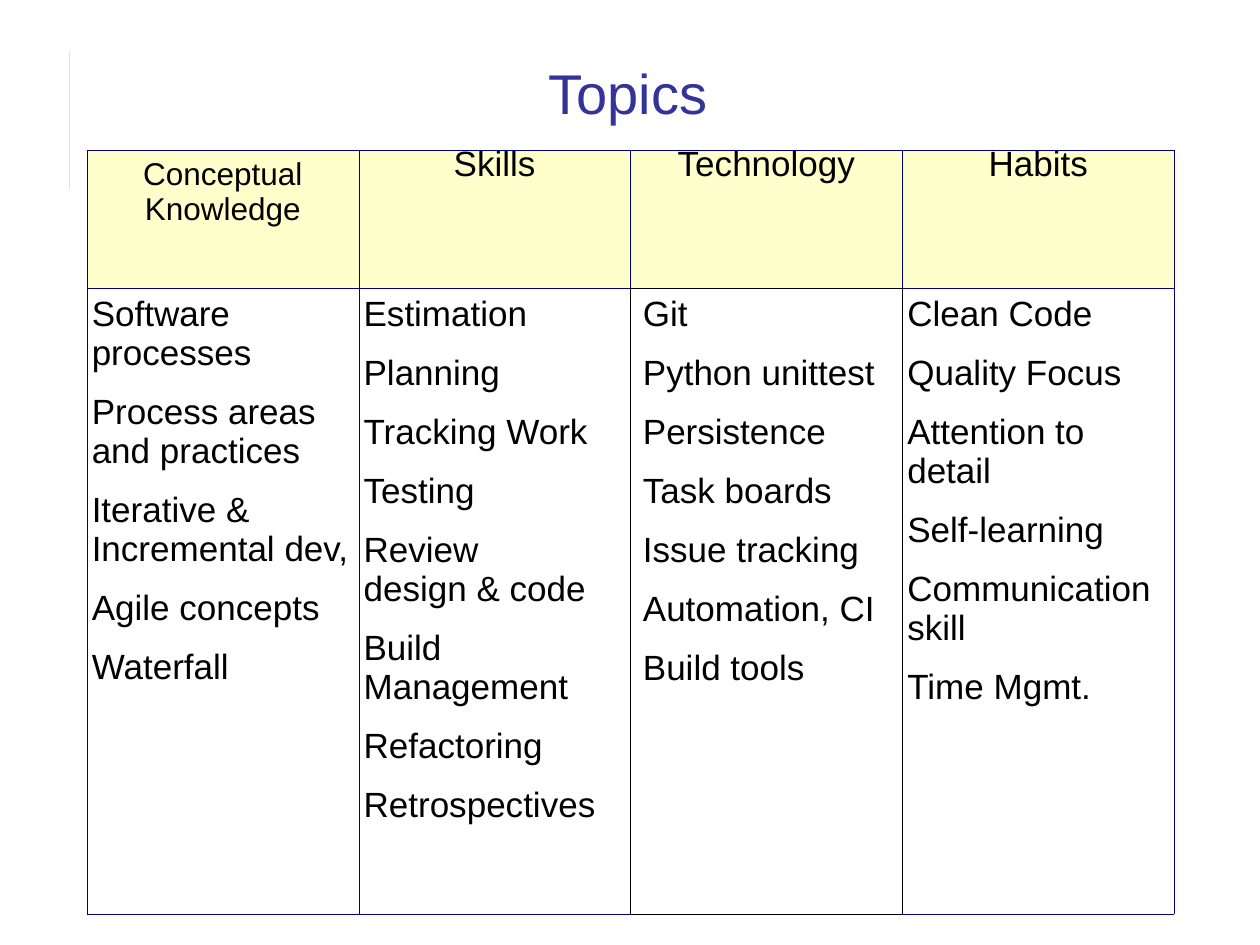
"""Build the Topics slide with its four-column table."""
from dataclasses import dataclass

import pptx
import pptx.dml.color
import pptx.enum.shapes
import pptx.enum.text
import pptx.oxml
import pptx.oxml.ns
import pptx.util

Cm = pptx.util.Cm
Pt = pptx.util.Pt
ALIGN = pptx.enum.text.PP_ALIGN
ANCHOR = pptx.enum.text.MSO_ANCHOR


@dataclass(frozen=True)
class Theme:
    font: str = "Arial"
    title: str = "333399"
    ink: str = "000000"
    edge: str = "000080"
    head: str = "FFFFCC"
    rule: str = "1C1C1C"
    big: int = 32
    body: int = 20
    small: int = 18
    gap: float = 11.4
    line: float = 0.06


THEME = Theme()

TOPICS = {
    "Conceptual Knowledge": [
        "Software processes", "Process areas and practices",
        "Iterative & Incremental dev,", "Agile concepts", "Waterfall"],
    "Skills": [
        "Estimation", "Planning", "Tracking Work", "Testing",
        "Review\vdesign & code", "Build Management", "Refactoring",
        "Retrospectives"],
    "Technology": [
        "Git", "Python unittest", "Persistence", "Task boards",
        "Issue tracking", "Automation, CI", "Build tools"],
    "Habits": [
        "Clean Code", "Quality Focus", "Attention to detail",
        "Self-learning", "Communication skill", "Time Mgmt."],
}

TECH = 2
DARK = {(1, TECH, side) for side in "LRTB"} | {
    (0, TECH, "B"), (1, TECH - 1, "R"), (1, TECH + 1, "L")}


def tint(code):
    return pptx.dml.color.RGBColor.from_string(code)


def style(para, size, color, align):
    para.alignment = align
    for run in para.runs:
        run.font.name = THEME.font
        run.font.size = Pt(size)
        run.font.color.rgb = tint(color)


def add_rule(slide):
    rule = slide.shapes.add_shape(
        pptx.enum.shapes.MSO_SHAPE.RECTANGLE, Cm(1.41), Cm(1.02), Cm(0), Cm(2.82))
    rule.shadow.inherit = False
    rule.fill.solid()
    rule.fill.fore_color.rgb = tint(THEME.rule)
    rule.line.fill.background()


def add_title(slide, text):
    box = slide.shapes.add_textbox(Cm(1.7), Cm(0.71), Cm(21.92), Cm(2.31))
    frame = box.text_frame
    frame.word_wrap = True
    frame.vertical_anchor = ANCHOR.MIDDLE
    frame.text = text
    style(frame.paragraphs[0], THEME.big, THEME.title, ALIGN.CENTER)


def add_edges(cell, row, col):
    props = cell._tc.get_or_add_tcPr()
    space = pptx.oxml.ns.nsdecls("a")
    for side in "LRTB":
        color = THEME.ink if (row, col, side) in DARK else THEME.edge
        props.append(pptx.oxml.parse_xml(
            f'<a:ln{side} {space} w="{Pt(THEME.line)}"><a:solidFill>'
            f'<a:srgbClr val="{color}"/></a:solidFill></a:ln{side}>'))


def set_cell(table, row, col, text):
    cell = table.cell(row, col)
    add_edges(cell, row, col)
    wide = (row, col) == (1, TECH)
    cell.margin_left = cell.margin_right = Cm(0.25 if wide else 0.1)
    cell.margin_top = cell.margin_bottom = Cm(0.13)
    cell.text_frame.text = text
    return cell


def set_head(table, col, text):
    cell = set_cell(table, 0, col, text)
    cell.fill.solid()
    cell.fill.fore_color.rgb = tint(THEME.head)
    para = cell.text_frame.paragraphs[0]
    style(para, THEME.body if col else THEME.small, THEME.ink, ALIGN.CENTER)
    if col:
        para.line_spacing = 0.62


def set_list(table, col, items):
    cell = set_cell(table, 1, col, "\n".join(items))
    cell.fill.background()
    for index, para in enumerate(cell.text_frame.paragraphs):
        style(para, THEME.body, THEME.ink, ALIGN.LEFT)
        para.space_before = Pt(THEME.gap if index else 0)


def add_topics(slide, topics):
    count = len(topics)
    wide, heights = Cm(5.48), (Cm(2.78), Cm(12.62))
    table = slide.shapes.add_table(
        2, count, Cm(1.75), Cm(3.03), wide * count, sum(heights)).table
    table.first_row = table.horz_banding = False
    for row, height in zip(table.rows, heights):
        row.height = height
    for col, (head, items) in enumerate(topics.items()):
        table.columns[col].width = wide
        set_head(table, col, head)
        set_list(table, col, items)


def main():
    deck = pptx.Presentation()
    deck.slide_width, deck.slide_height = Cm(25.4), Cm(19.05)
    slide = deck.slides.add_slide(deck.slide_layouts[6])
    add_rule(slide)
    add_title(slide, "Topics")
    add_topics(slide, TOPICS)
    deck.save("out.pptx")


if __name__ == "__main__":
    main()
